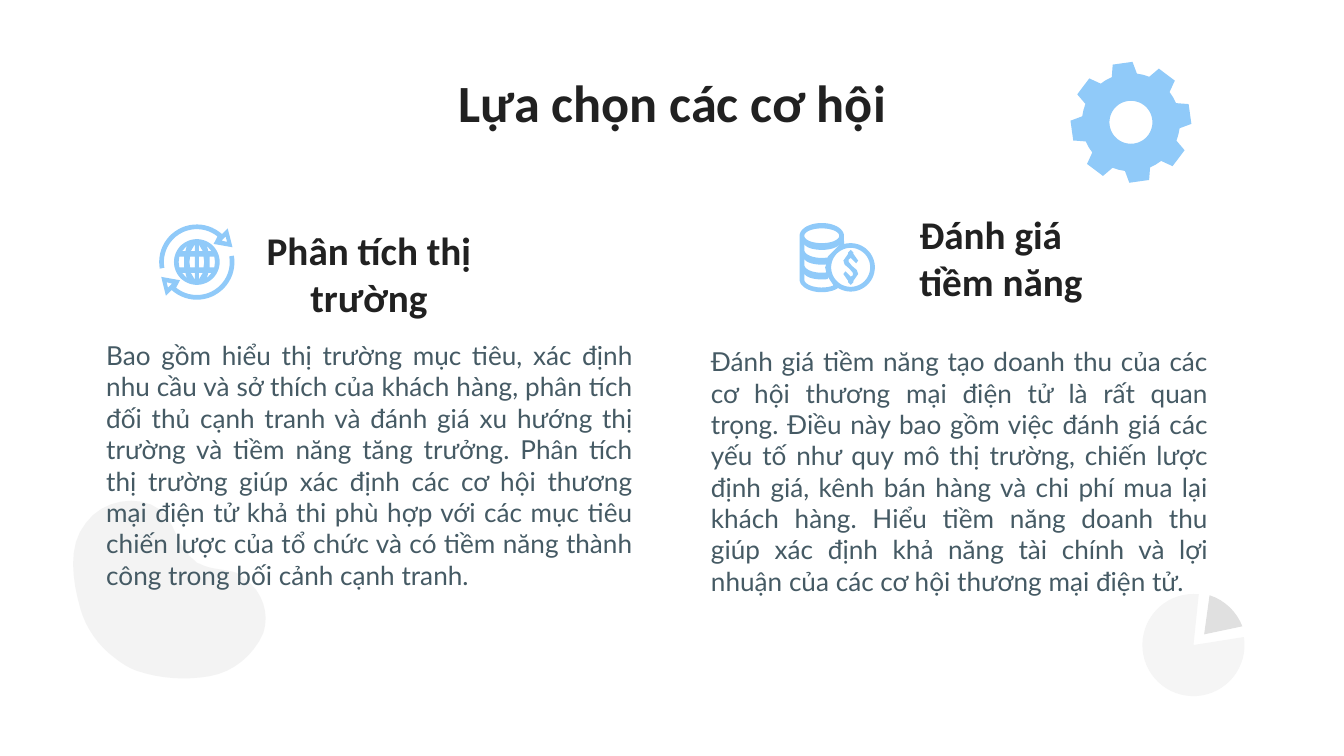
"""Build a slide on choosing e-commerce opportunities, on a grid of 1/100 of the slide width."""
import math
from dataclasses import dataclass

from lxml import etree
from pptx import Presentation, util as u
from pptx.dml.color import RGBColor
from pptx.enum import text
from pptx.oxml.ns import qn

WIDTH = u.Inches(10)
HEIGHT = WIDTH * 9 // 16
UNIT = WIDTH / 100


@dataclass(frozen=True)
class Theme:
    """Colours, fonts and type sizes."""
    accent: str = "90CAF9"
    ink: str = "212121"
    body: str = "455A64"
    pale: str = "F5F5F5"
    grey: str = "E0E0E0"
    head_font: str = "Calibri"
    body_font: str = "Lato"
    title_size: int = 28
    head_size: int = 21
    body_size: int = 14


T = Theme()
HEAD = dict(size=T.head_size, font=T.head_font, color=T.ink, bold=True)
BODY = dict(size=T.body_size, font=T.body_font, color=T.body, align=text.PP_ALIGN.JUSTIFY)

TITLE = "Lựa chọn các cơ hội"
COLUMNS = [
    ("Phân tích thị trường", (16.5, 18.3, 21.9, 4.1), text.PP_ALIGN.CENTER,
     "Bao gồm hiểu thị trường mục tiêu, xác định nhu cầu và sở thích của khách hàng, phân tích "
     "đối thủ cạnh tranh và đánh giá xu hướng thị trường và tiềm năng tăng trưởng. Phân tích thị "
     "trường giúp xác định các cơ hội thương mại điện tử khả thi phù hợp với các mục tiêu chiến "
     "lược của tổ chức và có tiềm năng thành công trong bối cảnh cạnh tranh.",
     (7.9, 22.4, 39.2, 24.4)),
    ("Đánh giá tiềm năng", (68.4, 17.1, 15.1, 4.1), text.PP_ALIGN.LEFT,
     "Đánh giá tiềm năng tạo doanh thu của các cơ hội thương mại điện tử là rất quan trọng. Điều "
     "này bao gồm việc đánh giá các yếu tố như quy mô thị trường, chiến lược định giá, kênh bán "
     "hàng và chi phí mua lại khách hàng. Hiểu tiềm năng doanh thu giúp xác định khả năng tài "
     "chính và lợi nhuận của các cơ hội thương mại điện tử.",
     (52.9, 26, 37, 18.1)),
]

BLOB = [
    (8.5, 48.9), (9, 49.3), (9.6, 49.7), (10.2, 49.9), (12, 50.5), (13.8, 50.6), (15.6, 50.3),
    (17.4, 50), (18.9, 48.7), (19.6, 47.1), (20.1, 45.6), (19.5, 44), (18.3, 43.1),
    (18.1, 42.9), (17.9, 42.8), (17.6, 42.6), (16.7, 42.3), (15.7, 42.4), (14.8, 41.9),
    (14.7, 41.9), (14.6, 41.8), (14.5, 41.7), (13.4, 40.9), (13.1, 39.3), (12.3, 38.3),
    (12.1, 38.1), (12, 38), (11.9, 37.9), (10.3, 36.7), (7.6, 37.2), (6.4, 38.9),
    (5, 40.6), (5.4, 43.2), (6, 45.3), (6.4, 46.7), (7.3, 48), (8.5, 48.9),
]
DOLLAR_HALF = [
    (0, -1.3), (-.2, -1.1), (-.2, -1), (-.55, -.5), (-.45, -.2), (-.1, .1), (.15, .4),
    (.15, .6), (0, .7), (-.2, .5), (-.4, .3), (-.55, .5), (-.2, 1), (-.2, 1.1),
]


def arc(cx, cy, rx, ry=None, start=0, end=360):
    """Return points along an elliptic arc; degrees run clockwise from the right."""
    n = max(2, round(abs(end - start) / 6))
    angles = [math.radians(start + (end - start) * i / n) for i in range(n + 1)]
    return [(cx + rx * math.cos(a), cy + (ry or rx) * math.sin(a)) for a in angles]


def curve(pts, steps=8):
    """Return points along a chain of cubic curves that share their end points."""
    out = pts[:1]
    for i in range(0, len(pts) - 1, 3):
        for t in (k / steps for k in range(1, steps + 1)):
            w = ((1 - t) ** 3, 3 * t * (1 - t) ** 2, 3 * t * t * (1 - t), t ** 3)
            out.append(tuple(sum(f * p[axis] for f, p in zip(w, pts[i:i + 4]))
                             for axis in (0, 1)))
    return out


def place(pts, cx, cy, sx=1, sy=1):
    """Mirror points by the signs given and move them to a centre."""
    return [(cx + sx * x, cy + sy * y) for x, y in pts]


def turn(pts, cx, cy, degrees):
    """Turn points clockwise about a centre."""
    c, s = math.cos(math.radians(degrees)), math.sin(math.radians(degrees))
    return [(cx + c * (x - cx) - s * (y - cy), cy + s * (x - cx) + c * (y - cy)) for x, y in pts]


def outline(shapes, contours, color, alpha=None, rotation=0):
    """Add one filled freeform from an outer contour and its holes."""
    first, *holes = [[(x * UNIT, y * UNIT) for x, y in c] for c in contours]
    fb = shapes.build_freeform(*first[0])
    fb.add_line_segments(first[1:])
    for hole in holes:
        fb.move_to(*hole[0])
        fb.add_line_segments(hole[1:])
    sp = fb.convert_to_shape()
    sp.shadow.inherit = False
    sp.fill.solid()
    sp.fill.fore_color.rgb = RGBColor.from_string(color)
    sp.line.fill.background()
    sp.rotation = rotation
    if alpha:
        clr = sp._element.spPr.find(qn("a:solidFill"))[0]
        etree.SubElement(clr, qn("a:alpha")).set("val", str(alpha * 1000))


def write(sp, words, box, size, font, color, bold=False, align=text.PP_ALIGN.LEFT,
          anchor=text.MSO_ANCHOR.MIDDLE):
    """Place a text shape and fill it with one formatted paragraph."""
    sp.left, sp.top, sp.width, sp.height = (round(v * UNIT) for v in box)
    tf = sp.text_frame
    tf.word_wrap, tf.auto_size = True, text.MSO_AUTO_SIZE.NONE
    tf.vertical_anchor = anchor
    tf.margin_left = tf.margin_right = 0
    tf.margin_top = tf.margin_bottom = u.Inches(0.1)
    p = tf.paragraphs[0]
    p.alignment = align
    r = p.add_run()
    r.text = words
    r.font.size, r.font.name, r.font.bold = u.Pt(size), font, bold
    r.font.color.rgb = RGBColor.from_string(color)


def add_gear(shapes, cx, cy, teeth=8):
    """Draw a gear with evenly spaced teeth and a round hole."""
    rim = []
    for i in range(teeth):
        mid = -98 + i * 360 / teeth
        rim += arc(cx, cy, 4.5, start=mid - 9.5, end=mid + 9.5)[::3]
        rim += arc(cx, cy, 3.65, start=mid + 15, end=mid + 360 / teeth - 15)
    outline(shapes, [rim, arc(cx, cy, 1.6)], T.accent)


def add_pie(shapes, cx, cy, r):
    """Draw a pie with one slice pulled out."""
    outline(shapes, [[(cx, cy)] + arc(cx, cy, r, start=-9, end=276)], T.pale)
    outline(shapes, [[(cx + .8, cy - .8)] + arc(cx, cy, r + .1, start=-72, end=-21)], T.grey)


def add_globe(shapes, cx, cy):
    """Draw a globe inside two circling arrows."""
    arrow = (arc(0, 0, 2.8, start=170, end=312) + [(2.3, -2.5), (2.65, -1.1), (1.25, -1.35)]
             + arc(0, 0, 2.45, start=309, end=170))
    head_hole = [(2.15, -1.9), (2.25, -1.5), (1.85, -1.6)]
    for sign in (1, -1):
        outline(shapes, [place(c, cx, cy, sign, sign) for c in (arrow, head_hole)], T.accent)
    holes = []
    for sx in (1, -1):
        for x, bulge in ((.15, .55), (.95, 1.35)):
            band = [(x, -.4), (bulge - .05, -.4), (bulge, 0), (bulge - .05, .4), (x, .4)]
            holes.append(place(band, cx, cy, sx))
        for sy in (1, -1):
            for cap in ([(.15, 1.3), (.45, .8), (.15, .8)], [(.75, 1.2), (1.1, .8), (.85, .8)]):
                holes.append(place(cap, cx, cy, sx, sy))
    outline(shapes, [arc(cx, cy, 1.7)] + holes, T.accent)


def add_coins(shapes, cx, cy, coin_x, coin_y):
    """Draw a stack of coins behind a dollar coin."""
    silhouette = (arc(cx, cy, 1.65, .95, 180, 360)
                  + arc(coin_x, coin_y, 1.8, start=-106, end=122)
                  + arc(cx, cy + 3.25, 1.65, .95, 45, 180))
    layers = [(70, 15, [(62.4, 18.3), (61.6, 19.1)]),
              (75, 75, [(61.4, 19.9)]),
              (50, 70, [(61.6, 20.6), (62, 21.2)])]
    holes = [arc(cx, cy, 1.3, .55), arc(coin_x, coin_y, 1.45)]
    for i, (low, high, edge) in enumerate(layers):
        y = cy + 1.1 * (i + 1)
        holes.append(arc(cx, y - .05, 1.3, .6, low, 180)
                     + arc(cx, y - .55, 1.3, .5, 180, high) + edge)
    outline(shapes, [silhouette] + holes, T.accent)
    outline(shapes, [place(DOLLAR_HALF, coin_x, coin_y)
                     + place(DOLLAR_HALF, coin_x, coin_y, -1, -1)], T.accent)


def main():
    """Build and save the slide."""
    prs = Presentation()
    prs.slide_width, prs.slide_height = WIDTH, HEIGHT
    s = prs.slides.add_slide(prs.slide_layouts[5])
    add_gear(s.shapes, 84.15, 9.1)
    add_pie(s.shapes.add_group_shape().shapes, 88.8, 48, 3.8)
    blob = place(turn(curve(BLOB), 11.9, 44.7, -218.1), -.2, 0)
    outline(s.shapes, [blob], T.grey, 38, 218.1)
    write(s.shapes.title, TITLE, (7.9, 4.2, 84.2, 6.3), T.title_size, T.head_font, T.ink,
          bold=True, align=text.PP_ALIGN.CENTER, anchor=text.MSO_ANCHOR.TOP)
    for head, head_box, align, words, body_box in COLUMNS:
        write(s.shapes.add_textbox(0, 0, 0, 0), head, head_box, align=align, **HEAD)
        write(s.shapes.add_textbox(0, 0, 0, 0), words, body_box, **BODY)
    add_globe(s.shapes.add_group_shape().shapes, 14.65, 19.5)
    add_coins(s.shapes.add_group_shape().shapes, 61.15, 17.55, 63.3, 19.9)
    prs.save("out.pptx")


if __name__ == "__main__":
    main()
